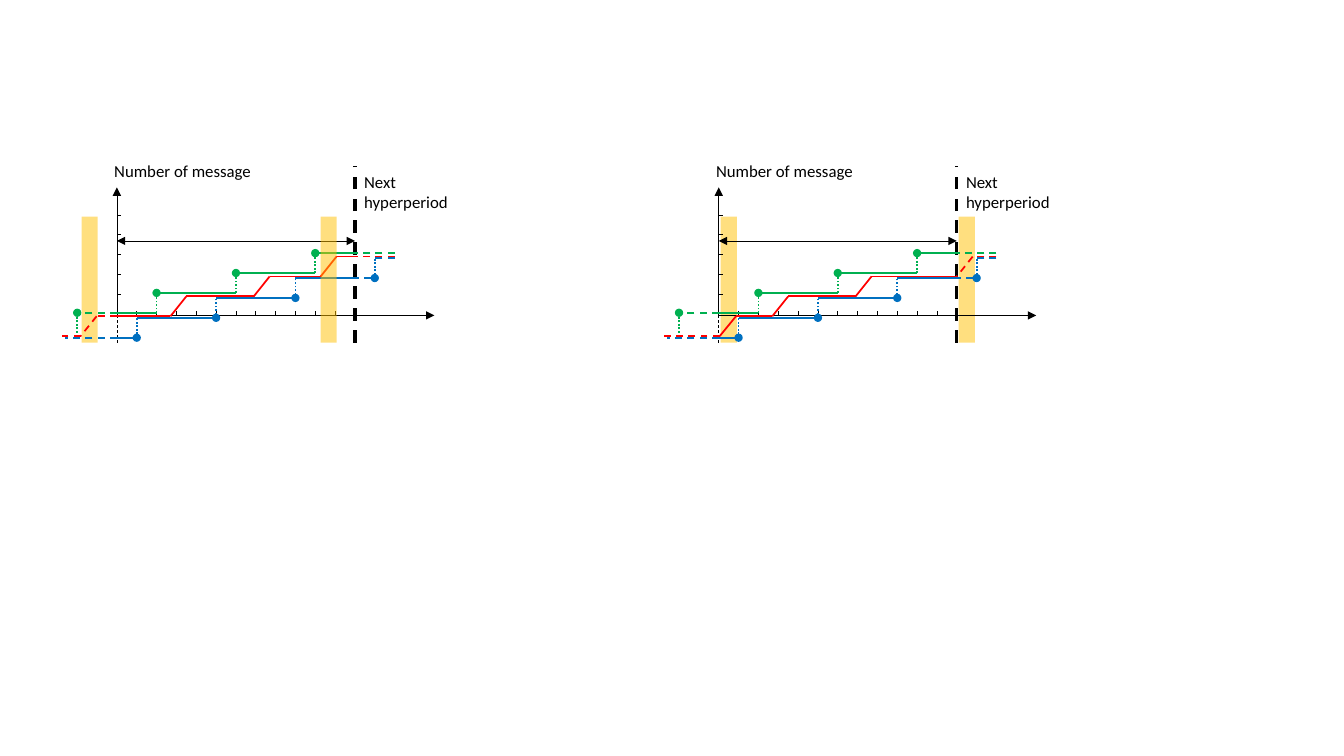
"""Draw two message-count timing diagrams, each with its own message window."""
from itertools import pairwise

from lxml.etree import SubElement
from pptx import Presentation
from pptx.dml.color import RGBColor
from pptx.enum.dml import MSO_LINE
from pptx.enum.shapes import MSO_CONNECTOR, MSO_SHAPE
from pptx.enum.text import MSO_AUTO_SIZE
from pptx.oxml.ns import qn
from pptx.util import Pt

COLORS = {"black": "000000", "arrival": "00B050", "departure": "0070C0",
          "service": "FF0000", "window": "FFC000"}
STEP = 14.17
LEVEL = 14.2
AXIS_Y = 225.3
BASE = {"arrival": 223.4, "departure": 227, "service": 225.9}
PERIOD = 12
DASH, DOT = MSO_LINE.DASH, MSO_LINE.ROUND_DOT

PANELS = [
    {"left": 513.4, "windows": [(0.1, False), (12.1, False)],
     "service": [(-2.75, -1), (0.05, -1), (0.87, 0), (2.7, 0), (3.5, 1),
                 (6.9, 1), (7.7, 2), (12, 2), (12.8, 3), (14, 3)]},
    {"left": 83.5, "windows": [(-1.78, False), (10.27, True)],
     "service": [(-2.75, -1), (-1.83, -1), (-1.02, 0), (0, 0), (2.7, 0), (3.5, 1),
                 (6.9, 1), (7.7, 2), (10.27, 2), (11.07, 3), (12, 3), (14, 3)]},
]
ARRIVALS = [(-2, 0, 0, True), (0, 2, 0, False), (2, 6, 1, True),
            (6, 10, 2, True), (10, 12, 3, True), (12, 14, 3, False)]
DEPARTURES = [(-2.6, 0, -1, False), (0, 1, -1, True), (1, 5, 0, True),
              (5, 9, 1, True), (9, 12, 2, False), (12, 13, 2, True),
              (13, 14, 3, False)]


def add_line(group, start, end, color="black", width=0.5, dash=None, head=None, tail=None):
    line = group.shapes.add_connector(
        MSO_CONNECTOR.STRAIGHT, *(Pt(value) for value in (*start, *end)))
    line.line.color.rgb = RGBColor.from_string(COLORS[color])
    line.line.width = Pt(width)
    if dash:
        line.line.dash_style = dash
    properties = line._element.spPr
    outline = properties.find(qn("a:ln"))
    for tag, kind in (("a:headEnd", head), ("a:tailEnd", tail)):
        if kind:
            SubElement(outline, qn(tag), type=kind)
    SubElement(properties, qn("a:effectLst"))


def add_window(group, left):
    window = group.shapes.add_shape(MSO_SHAPE.RECTANGLE, Pt(left), Pt(154.8), Pt(11.5), Pt(90))
    window.shadow.inherit = False
    window.fill.solid()
    window.fill.fore_color.rgb = RGBColor.from_string(COLORS["window"])
    SubElement(window._element.spPr.find(".//" + qn("a:srgbClr")), qn("a:alpha"), val="50000")
    window.line.fill.background()


deck = Presentation()
deck.slide_width, deck.slide_height = Pt(960), Pt(540)
page = deck.slides.add_slide(deck.slide_layouts[6])

for panel in PANELS:
    group = page.shapes.add_group_shape()
    left = panel["left"]
    period_x = left + PERIOD * STEP

    add_line(group, (period_x, 244.8), (period_x, 118.8), width=2.25, dash=DASH)
    for offset, in_front in panel["windows"]:
        if not in_front:
            add_window(group, left + offset * STEP)

    for tick in range(1, PERIOD):
        x = left + tick * STEP
        add_line(group, (x, 222.5), (x, AXIS_Y))
    for tick in range(1, 6):
        y = 224.5 - tick * LEVEL
        add_line(group, (left + 2.9, y), (left, y))
    add_line(group, (left, AXIS_Y), (left, 133.9), tail="triangle")
    add_line(group, (left, AXIS_Y), (left + 226.8, AXIS_Y), tail="triangle")
    add_line(group, (left, 244.8), (left, AXIS_Y), dash=DASH)
    add_line(group, (period_x, 172.1), (left, 172.1), head="triangle", tail="triangle")

    for color, stairs in (("arrival", ARRIVALS), ("departure", DEPARTURES)):
        for first, last, count, marked in stairs:
            y = BASE[color] - count * LEVEL
            dash = DASH if first < 0 or first >= PERIOD else None
            marker = "oval" if marked else None
            ends = {"tail": marker} if color == "arrival" else {"head": marker}
            add_line(group, (left + last * STEP, y), (left + first * STEP, y),
                     color, 1.25, dash, **ends)
            if first in (-2, 2, 6, 10, 1, 5, 9, 13):
                x = left + first * STEP
                add_line(group, (x, y + LEVEL), (x, y), color, 1.25, DOT)

    for (first, low), (last, high) in pairwise(panel["service"]):
        add_line(group, (left + last * STEP, BASE["service"] - high * LEVEL),
                 (left + first * STEP, BASE["service"] - low * LEVEL), "service", 1.25,
                 DASH if first < 0 or first >= PERIOD else None)

    for offset, in_front in panel["windows"]:
        if in_front:
            add_window(group, left + offset * STEP)

    for text, x, y, width, height, wrap in (
            ("Number of message", left - 9, 111.6, 114.5, 21.8, False),
            ("Next\nhyperperiod", period_x - 0.5, 118.8, 69, 36.3, True)):
        box = group.shapes.add_textbox(Pt(x), Pt(y), Pt(width), Pt(height))
        frame = box.text_frame
        frame.word_wrap = wrap
        frame.auto_size = MSO_AUTO_SIZE.SHAPE_TO_FIT_TEXT
        if wrap:
            frame.margin_right = 0
        frame.text = text
        for para in frame.paragraphs:
            for span in para.runs:
                span.font.name = "Calibri"
                span.font.size = Pt(12)
                span.font.color.rgb = RGBColor.from_string(COLORS["black"])

deck.save("out.pptx")
